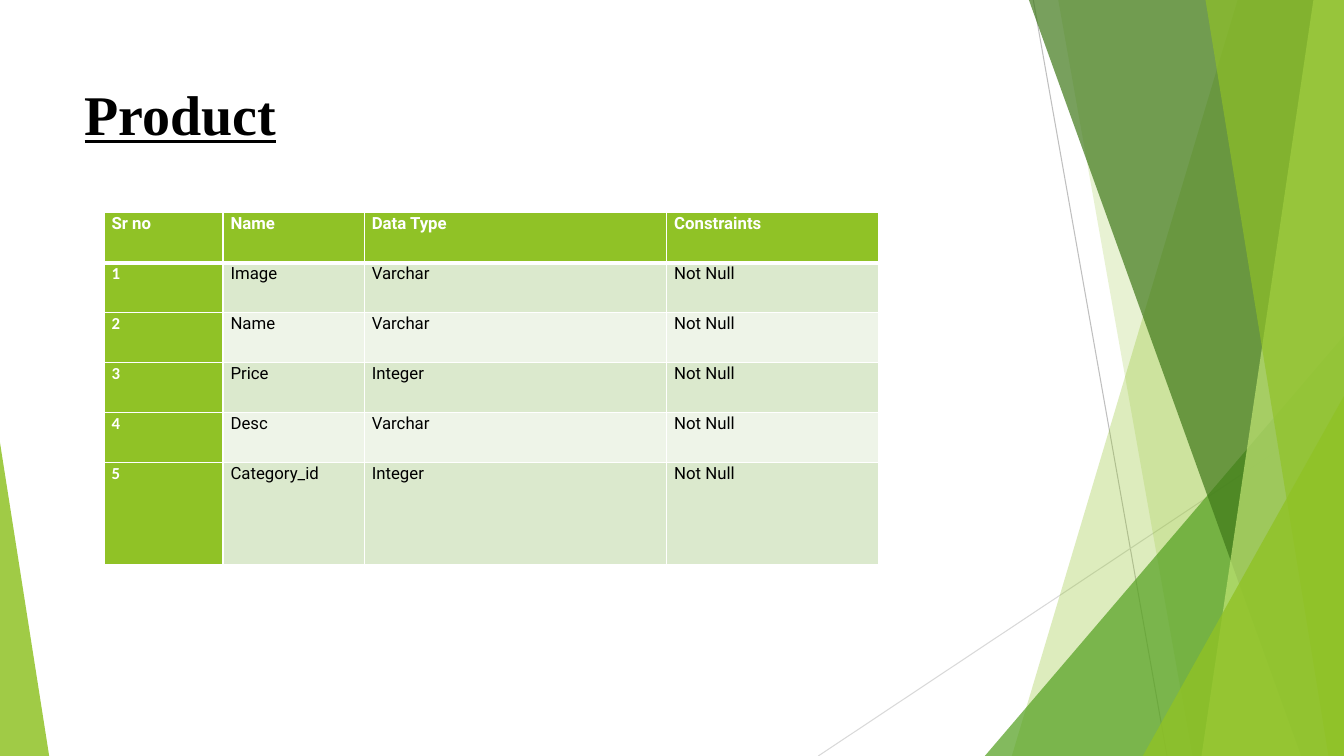
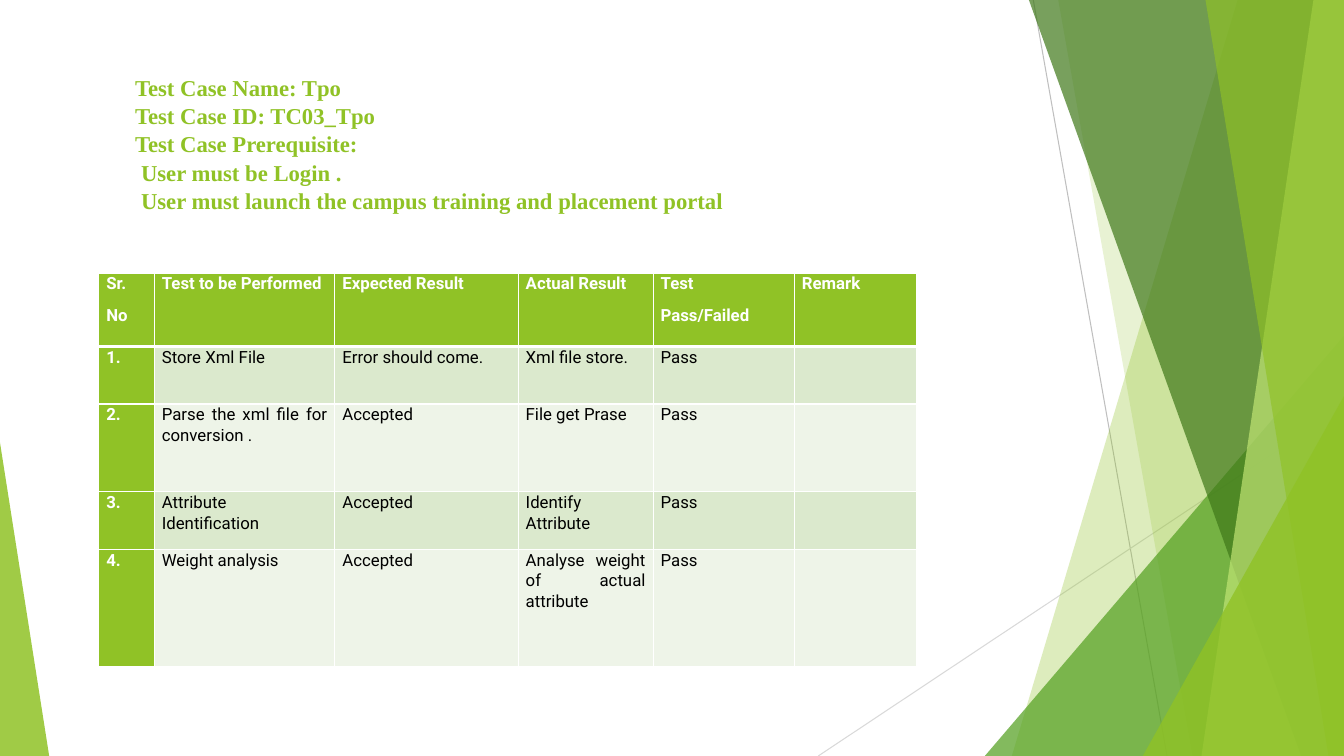
"""Build two table slides that share a faceted green layout."""
from collections import namedtuple
from dataclasses import dataclass

from lxml import etree
from pptx import Presentation
from pptx.dml.color import RGBColor
from pptx.enum.shapes import MSO_CONNECTOR, MSO_SHAPE
from pptx.enum.text import MSO_ANCHOR, MSO_AUTO_SIZE, PP_ALIGN
from pptx.oxml.ns import qn
from pptx.util import Cm, Pt

STRAIGHT = MSO_CONNECTOR.STRAIGHT
TRIANGLE = MSO_SHAPE.ISOSCELES_TRIANGLE
TOP = MSO_ANCHOR.TOP
FIXED_SIZE = MSO_AUTO_SIZE.NONE
LEFT, JUSTIFY = PP_ALIGN.LEFT, PP_ALIGN.JUSTIFY
TITLE_ONLY = 5

Box = namedtuple("Box", "x y w h")


@dataclass(frozen=True)
class Theme:
    """Colours, fonts and type sizes of the deck."""

    green: str = "90C226"
    leaf: str = "54A021"
    forest: str = "3F7819"
    lime: str = "C0E474"
    band_dark: str = "DBE9CD"
    band_light: str = "EEF4E8"
    white: str = "FFFFFF"
    black: str = "000000"
    line_dark: str = "BFBFBF"
    line_light: str = "D9D9D9"
    title_font: str = "Times New Roman"
    table_font: str = "Roboto"
    number_font: str = "Calibri"
    title_size: float = 40
    heading_size: float = 16.2
    table_size: float = 12
    hairline: float = 0.75
    border: float = 1
    header_border: float = 3


THEME = Theme()
PAGE = Box(0, 0, 33.87, 19.05)
TITLE = Box(1.88, 1.7, 23.88, 3.66)


def rgb(value):
    """Return a colour object for a hex value."""
    return RGBColor.from_string(value)


def style_font(p, name, size, color, bold=True, underline=None):
    """Set the font of a whole paragraph."""
    font = p.font
    font.name, font.size = name, Pt(size)
    font.bold, font.underline = bold, underline
    font.color.rgb = rgb(color)


def paint(sp, color, opacity):
    """Give a shape a flat translucent fill with no outline."""
    sp.shadow.inherit = False
    sp.fill.solid()
    sp.fill.fore_color.rgb = rgb(color)
    clr = sp.element.spPr.find(qn("a:solidFill")).find(qn("a:srgbClr"))
    etree.SubElement(clr, qn("a:alpha"), val=str(opacity * 1000))
    sp.line.fill.background()


def add_hairline(shapes, start, end, color):
    """Draw a thin straight line between two points."""
    line = shapes.add_connector(STRAIGHT, *map(Cm, start + end))
    line.line.color.rgb = rgb(color)
    line.line.width = Pt(THEME.hairline)
    etree.SubElement(line.element.spPr, qn("a:effectLst"))


def add_blade(shapes, box, top_x, bottom_x, color, opacity):
    """Fill from a slanted edge to the right side of the box."""
    right, bottom = box.x + box.w, box.y + box.h
    corners = [(right, box.y), (right, bottom), (bottom_x, bottom)]
    builder = shapes.build_freeform(Cm(top_x), Cm(box.y))
    builder.add_line_segments([(Cm(x), Cm(y)) for x, y in corners])
    paint(builder.convert_to_shape(), color, opacity)


def add_wedge(shapes, box, width, height, color, opacity, at_right=True):
    """Place a right triangle in a bottom corner of the box."""
    x = box.x + box.w - width if at_right else box.x
    y = box.y + box.h - height
    sp = shapes.add_shape(TRIANGLE, *map(Cm, (x, y, width, height)))
    sp.adjustments[0] = 1 if at_right else 0
    paint(sp, color, opacity)


def add_facets(slide, layout, box):
    """Draw the facets as one group and move it to the layout."""
    group = slide.shapes.add_group_shape()
    shapes = group.shapes
    right, bottom = box.x + box.w, box.y + box.h
    add_hairline(shapes, (26.04, box.y), (29.41, bottom), THEME.line_dark)
    add_hairline(shapes, (right, 10.24), (20.62, bottom), THEME.line_light)
    add_blade(shapes, box, 31.19, 25.5, THEME.green, 30)
    add_blade(shapes, box, 26.67, 30.05, THEME.green, 20)
    add_wedge(shapes, box, 9.05, 10.59, THEME.leaf, 72)
    add_blade(shapes, box, 25.93, 32.79, THEME.forest, 70)
    add_blade(shapes, box, 33.1, 30.28, THEME.lime, 70)
    add_blade(shapes, box, 30.38, 33.48, THEME.green, 65)
    add_wedge(shapes, box, 5.07, 9.07, THEME.green, 80)
    add_wedge(shapes, box, 1.24, 7.9, THEME.green, 85, at_right=False)
    for number, props in enumerate(group.element.iter(qn("p:cNvPr")), 100):
        props.set("id", str(number))
    layout.shapes.element.insert(2, group.element)


def prepare_layout(layout, box):
    """Place the title placeholder of the shared layout."""
    sp = layout.placeholders[0]
    sp.left, sp.top, sp.width, sp.height = map(Cm, box)
    sp.text_frame.vertical_anchor = TOP


def fill_title(slide, lines, size, color, underline=None, top=0.13, spacing=1.0):
    """Write the title from pairs of text and left indent."""
    tf = slide.shapes.title.text_frame
    tf.auto_size, tf.vertical_anchor = FIXED_SIZE, TOP
    tf.margin_top = Cm(top)
    tf.text = "\n".join(text for text, _ in lines)
    for p, (_, indent) in zip(tf.paragraphs, lines):
        p.alignment, p.line_spacing = LEFT, spacing
        p.space_before = Pt(0)
        p._p.get_or_add_pPr().set("marL", str(Cm(indent)))
        style_font(p, THEME.title_font, size, color, underline=underline)


def add_border(cell, side, width):
    """Draw a white border on one side of a cell."""
    ln = etree.SubElement(cell._tc.get_or_add_tcPr(), qn("a:ln" + side), w=str(Pt(width)))
    fill = etree.SubElement(ln, qn("a:solidFill"))
    etree.SubElement(fill, qn("a:srgbClr"), val=THEME.white)


def fill_cell(cell, text, fill, font, color, bold, align, borders):
    """Write and format one table cell."""
    cell.margin_left = cell.margin_right = Cm(0.19)
    cell.margin_top = cell.margin_bottom = 0
    for side, width in borders.items():
        add_border(cell, side, width)
    cell.fill.solid()
    cell.fill.fore_color.rgb = rgb(fill)
    cell.text = text
    for p in cell.text_frame.paragraphs:
        p.alignment, p.line_spacing = align, 1.06
        p.space_after = Pt(8)
        style_font(p, font, THEME.table_size, color, bold)


def add_grid(slide, x, y, widths, heights, rows, align=LEFT, number_font=THEME.table_font):
    """Add a table with a green header row and number column."""
    box = Box(x, y, sum(widths), sum(heights))
    frame = slide.shapes.add_table(len(rows), len(widths), *map(Cm, box))
    table = frame.table
    table.first_col = True
    for col, width in zip(table.columns, widths):
        col.width = Cm(width)
    for row, height in zip(table.rows, heights):
        row.height = Cm(height)
    for i, values in enumerate(rows):
        borders = {"L": THEME.border, "R": THEME.border}
        if i == 0:
            borders.update(T=THEME.border, B=THEME.header_border)
        else:
            borders.update(B=THEME.border)
        band = THEME.band_dark if i % 2 else THEME.band_light
        for j, text in enumerate(values):
            strong = i == 0 or j == 0
            fill_cell(
                table.cell(i, j), text,
                fill=THEME.green if strong else band,
                font=number_font if i and j == 0 else THEME.table_font,
                color=THEME.white if strong else THEME.black,
                bold=strong, align=align, borders=borders,
            )


def build_product(slide):
    """Fill the slide that lists the product fields."""
    fill_title(slide, [("Product", 0)], THEME.title_size, THEME.black, underline=True, top=0.31)
    fields = [("Image", "Varchar"), ("Name", "Varchar"), ("Price", "Integer"),
              ("Desc", "Varchar"), ("Category_id", "Integer")]
    rows = [("Sr no", "Name", "Data Type", "Constraints")]
    rows += [(str(n), *field, "Not Null") for n, field in enumerate(fields, 1)]
    add_grid(slide, 2.62, 5.36, [3, 3.56, 7.62, 5.33], [1.26] * 5 + [2.57], rows,
             number_font=THEME.number_font)


def build_test_case(slide):
    """Fill the slide that reports a test case."""
    indent, sub_indent = 1.27, 1.42
    lines = [
        ("Test Case Name: Tpo", indent),
        ("Test Case ID: TC03_Tpo", indent),
        ("Test Case Prerequisite:", indent),
        ("User must be Login .", sub_indent),
        ("User must launch the campus training and placement portal", sub_indent),
    ]
    fill_title(slide, lines, THEME.heading_size, THEME.green, spacing=1.04)
    tests = [
        ("Store Xml File", "Error should come.", "Xml file store."),
        ("Parse the xml file for conversion .", "Accepted", "File get Prase"),
        ("Attribute Identification", "Accepted", "Identify Attribute"),
        ("Weight analysis", "Accepted", "Analyse weight of actual attribute"),
    ]
    rows = [("Sr.\nNo", "Test to be Performed", "Expected Result", "Actual Result",
             "Test\nPass/Failed", "Remark")]
    rows += [(f"{n}.", *test, "Pass", "") for n, test in enumerate(tests, 1)]
    add_grid(slide, 2.49, 6.88, [1.4, 4.55, 4.62, 3.4, 3.56, 3.07],
             [1.85, 1.45, 2.21, 1.45, 2.95], rows, align=JUSTIFY)


def main():
    """Build and save the deck."""
    prs = Presentation()
    prs.slide_width, prs.slide_height = Cm(PAGE.w), Cm(PAGE.h)
    layout = prs.slide_layouts[TITLE_ONLY]
    prepare_layout(layout, TITLE)
    slides = [prs.slides.add_slide(layout) for _ in range(2)]
    add_facets(slides[0], layout, PAGE)
    for s, build in zip(slides, (build_product, build_test_case)):
        build(s)
    prs.save("out.pptx")


if __name__ == "__main__":
    main()
